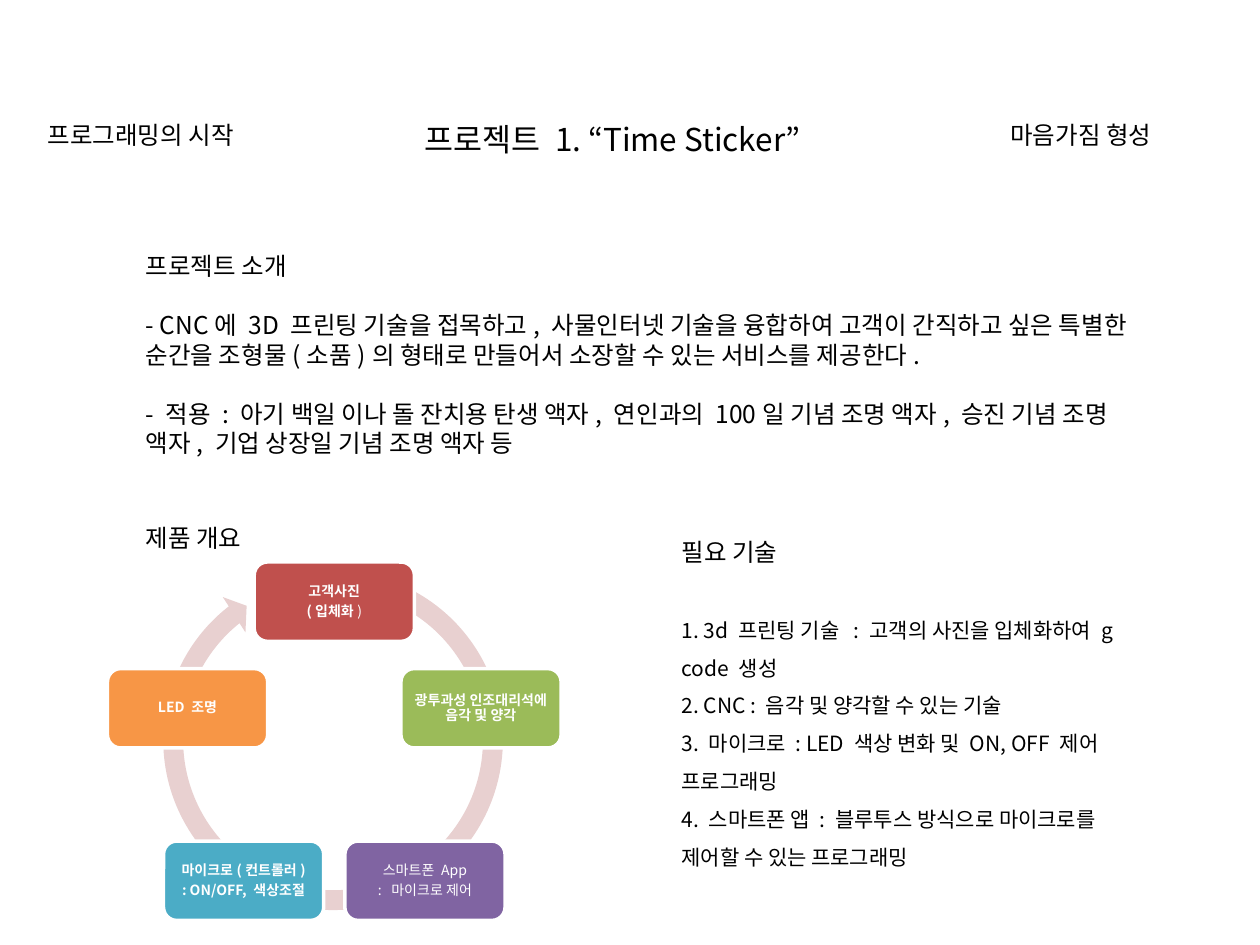
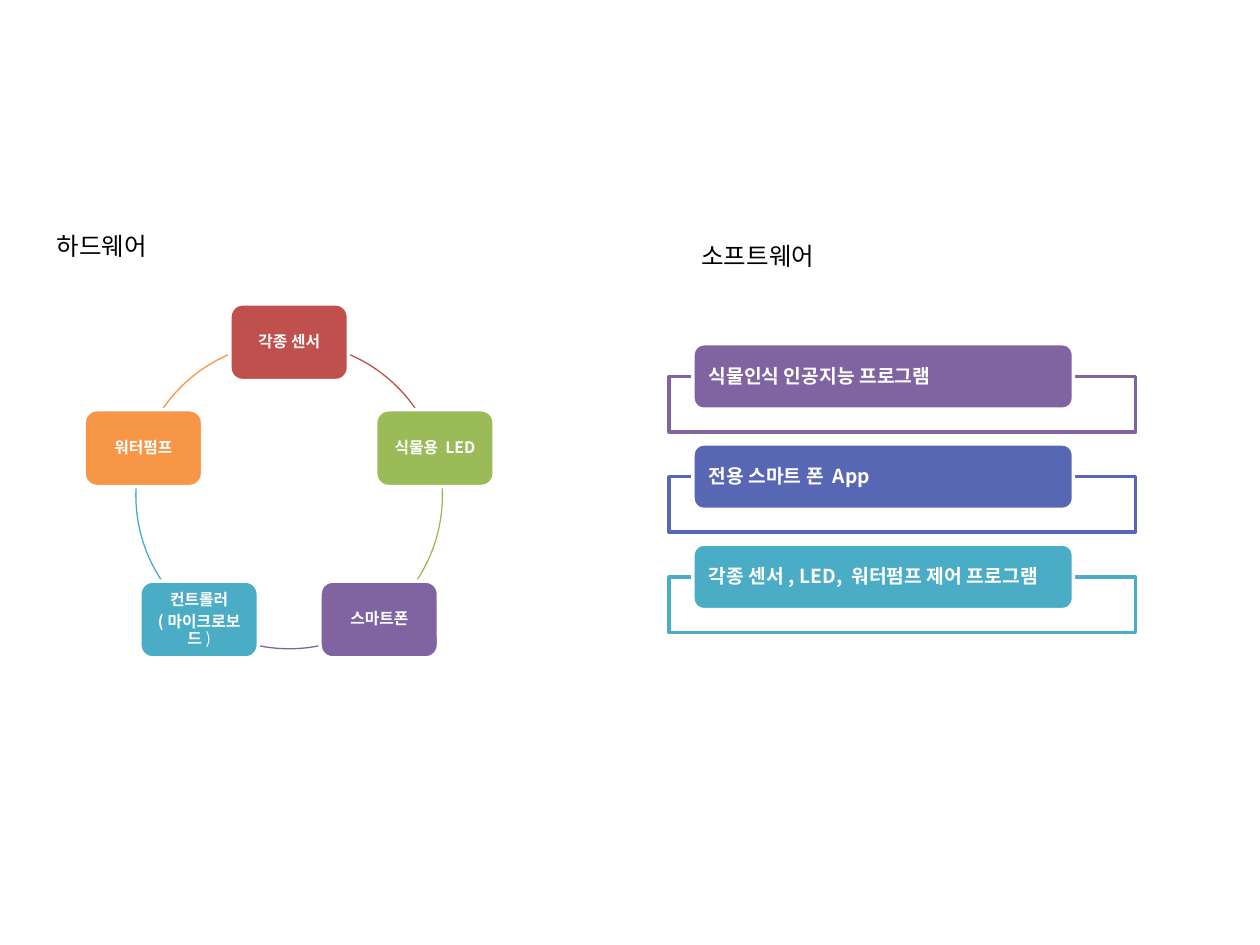
from math import cos, radians, sin

from lxml import etree
from pptx import Presentation
from pptx.dml.color import RGBColor
from pptx.enum.shapes import MSO_SHAPE
from pptx.enum.text import MSO_ANCHOR, PP_ALIGN
from pptx.oxml.ns import qn
from pptx.util import Cm, Pt

ROUND = MSO_SHAPE.ROUNDED_RECTANGLE
RECT = MSO_SHAPE.RECTANGLE
ARC = MSO_SHAPE.ARC
LOOP = MSO_SHAPE.CIRCULAR_ARROW
LEFT, CENTER = PP_ALIGN.LEFT, PP_ALIGN.CENTER
TOP, MIDDLE = MSO_ANCHOR.TOP, MSO_ANCHOR.MIDDLE

FONT = "Noto Sans CJK KR"
BLACK = RGBColor(0x00, 0x00, 0x00)
WHITE = RGBColor(0xFF, 0xFF, 0xFF)
RED = RGBColor(0xC0, 0x50, 0x4D)
GREEN = RGBColor(0x9B, 0xBB, 0x59)
PURPLE = RGBColor(0x80, 0x64, 0xA2)
BLUE = RGBColor(0x57, 0x67, 0xB4)
TEAL = RGBColor(0x4B, 0xAC, 0xC6)
ORANGE = RGBColor(0xF7, 0x96, 0x46)
PINK = RGBColor(0xE8, 0xD0, 0xD0)
WHEEL = [RED, GREEN, PURPLE, TEAL, ORANGE]  # clockwise from the top


def write(shape, paras, size=14, color=BLACK, bold=False, align=LEFT,
          anchor=TOP, lead=1.0, gaps=(), inset=(0.25, 0.13)):
    """Fill a shape with paragraphs; a bar in one starts a run that is not bold."""
    frame = shape.text_frame
    frame.word_wrap = True
    frame.vertical_anchor = anchor
    frame.margin_left = frame.margin_right = Cm(inset[0])
    frame.margin_top = frame.margin_bottom = Cm(inset[1])
    for i, text in enumerate(paras):
        para = frame.add_paragraph() if i else frame.paragraphs[0]
        para.alignment = align
        para.line_spacing = Pt(round(size * 1.2 * lead, 1))
        para.space_after = Pt(gaps[i] if i < len(gaps) else 0)
        for j, part in enumerate(text.split("|")):
            run = para.add_run()
            run.text = part
            run.font.size = Pt(size)
            run.font.bold = bold and j == 0
            run.font.color.rgb = color
            run.font.name = FONT
            east = etree.SubElement(run._r.get_or_add_rPr(), qn("a:ea"))
            east.set("typeface", FONT)


def draw(slide, kind, left, top, width, height, fill=None, line=None, weight=2):
    """Add a preset shape, in centimetres, without shadow."""
    shape = slide.shapes.add_shape(kind, Cm(left), Cm(top), Cm(width), Cm(height))
    shape.shadow.inherit = False
    if fill is None:
        shape.fill.background()
    else:
        shape.fill.solid()
        shape.fill.fore_color.rgb = fill
    if line is None:
        shape.line.fill.background()
    else:
        shape.line.color.rgb = line
        shape.line.width = Pt(weight)
    return shape


deck = Presentation()
deck.slide_width, deck.slide_height = Cm(25.4), Cm(19.05)
blank = deck.slide_layouts[6]
first, second = deck.slides.add_slide(blank), deck.slides.add_slide(blank)

# Plain text: slide, left, top, width, height, paragraphs, format
notes = [
    (first, 8.31, 2.29, 8.89, 1.02, ["프로젝트 1. “Time Sticker”"], {"size": 18}),
    (first, 0.71, 2.29, 5.21, 0.86, ["프로그래밍의 시작"], {}),
    (first, 20.12, 2.29, 4.04, 0.86, ["마음가짐 형성"], {}),
    (first, 2.69, 4.93, 20.6, 4.45, [
        "프로젝트 소개",
        "- CNC에 3D 프린팅 기술을 접목하고, 사물인터넷 기술을 융합하여 고객이 "
        "간직하고 싶은 특별한 순간을 조형물(소품)의 형태로 만들어서 소장할 수 있는 "
        "서비스를 제공한다.",
        "- 적용 : 아기 백일 이나 돌 잔치용 탄생 액자, 연인과의 100일 기념 조명 액자, "
        "승진 기념 조명 액자, 기업 상장일 기념 조명 액자 등",
    ], {"gaps": (17, 17)}),
    (first, 2.69, 10.41, 6.81, 0.86, ["제품 개요"], {}),
    (first, 13.49, 10.41, 9.8, 1.2, ["필요 기술"], {"lead": 1.5}),
    (first, 13.49, 12.06, 9.8, 5.67, [
        "1. 3d 프린팅 기술  : 고객의 사진을 입체화하여 g code 생성",
        "2. CNC : 음각 및 양각할 수 있는 기술",
        "3. 마이크로 : LED 색상 변화 및 ON, OFF 제어 프로그래밍",
        "4. 스마트폰 앱 : 블루투스 방식으로 마이크로를 제어할 수 있는 프로그래밍",
    ], {"size": 12, "lead": 1.5}),
    (second, 0.89, 4.52, 3.18, 0.86, ["하드웨어"], {}),
    (second, 13.89, 4.72, 3.2, 0.86, ["소프트웨어"], {}),
]
for slide, left, top, width, height, paras, style in notes:
    box = slide.shapes.add_textbox(Cm(left), Cm(top), Cm(width), Cm(height))
    write(box, paras, **style)

# Ring behind the product steps
ring = draw(first, LOOP, 3.07, 11.28, 7.29, 7.29, PINK)
for i, value in enumerate([0.055, 3.307, 139.067, 173.069, 0.058]):
    ring.adjustments[i] = value

# Thin arcs between the hardware parts; an adjustment counts 0.6 to the degree
mid_x, mid_y, reach = 5.83, 9.99, 3.09
spans = [(293, 325.7), (357, 33.6), (78.4, 101.6), (146.4, 183), (214.3, 247)]
for color, span in zip(WHEEL, spans):
    arc = draw(second, ARC, mid_x - reach, mid_y - reach, 2 * reach, 2 * reach,
               line=color, weight=0.75)
    for i, angle in enumerate(span):
        arc.adjustments[i] = angle * 0.6

# Five boxes around each circle: label and whether it is bold
steps = [
    (["고객사진", "(입체화|)"], True),
    (["광투과성 인조대리석에 음각 및 양각"], True),
    (["스마트폰 App", ":  마이크로 제어"], False),
    (["마이크로(컨트롤러)", ": ON/OFF, 색상조절"], True),
    (["LED 조명"], True),
]
parts = [(["각종 센서"], True), (["식물용 LED"], True), (["스마트폰"], True),
         (["컨트롤러", "(마이크로보드|)"], True), (["워터펌프"], True)]
wheels = [
    (first, steps, 6.74, 15.24, 3.11, 3.23, 1.6, 8, 0.08),
    (second, parts, mid_x, mid_y, reach, 2.39, 1.55, 9, 0.1),
]
for slide, labels, x, y, radius, width, height, size, pad in wheels:
    for i, ((label, bold), color) in enumerate(zip(labels, WHEEL)):
        turn = radians(72 * i - 90)
        box = draw(slide, ROUND, x + radius * cos(turn) - width / 2,
                   y + radius * sin(turn) - height / 2, width, height, color, WHITE)
        write(box, label, size=size, color=WHITE, bold=bold, align=CENTER,
              anchor=MIDDLE, lead=0.9, gaps=[size * 0.35] * len(label),
              inset=(pad, pad))

# Software list: a frame with a title bar for each row
rows = [("식물인식 인공지능 프로그램", PURPLE), ("전용 스마트 폰 App", BLUE),
        ("각종 센서, LED, 워터펌프 제어 프로그램", TEAL)]
for i, (label, color) in enumerate(rows):
    top = 6.93 + 2.02 * i
    draw(second, RECT, 13.49, top + 0.66, 9.4, 1.12, WHITE, color)
    bar = draw(second, ROUND, 13.97, top, 7.67, 1.32, color, WHITE)
    write(bar, [label], size=11, color=WHITE, bold=True, anchor=MIDDLE,
          lead=0.9, gaps=(3.85,), inset=(0.25, 0))

deck.save("out.pptx")
